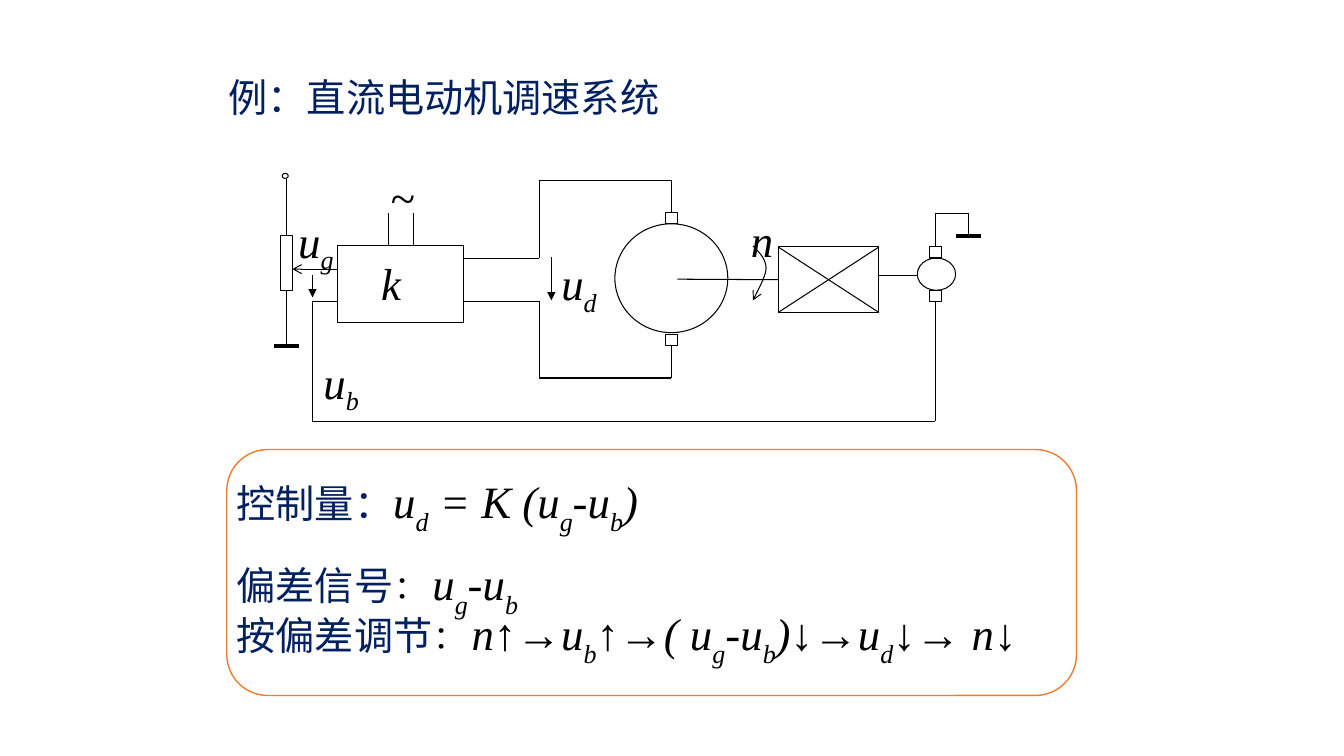
import pptx
import pptx.dml.color
import pptx.enum.shapes
import pptx.enum.text
import pptx.oxml.ns
import pptx.util
from lxml import etree

BLACK = pptx.dml.color.RGBColor(0x00, 0x00, 0x00)
WHITE = pptx.dml.color.RGBColor(0xFF, 0xFF, 0xFF)
NAVY = pptx.dml.color.RGBColor(0x00, 0x20, 0x60)
ORANGE = pptx.dml.color.RGBColor(0xED, 0x7D, 0x31)
CHINESE = "Noto Sans CJK SC"
LATIN = "Times New Roman"
COLUMNS, ROWS = 133.33, 75
CELL = pptx.util.Inches(0.1)
SHAPE = pptx.enum.shapes.MSO_SHAPE
TOP, LEFT, BOTTOM, RIGHT = range(4)

qn = pptx.oxml.ns.qn


def cells(*counts):
    """Turn grid counts into EMU lengths."""
    return [round(count * CELL) for count in counts]


def add_text(paragraph, text, size=32, font=LATIN, color=BLACK, italic=False, drop=30):
    """Add runs; the letter after each underscore is a subscript, lowered by drop percent."""
    first, *rest = text.split("_")
    pieces = [(first, False)]
    for part in rest:
        pieces += [(part[0], True), (part[1:], False)]
    for piece, subscript in pieces:
        if not piece:
            continue
        run = paragraph.add_run()
        run.text = piece
        run.font.size = pptx.util.Pt(size)
        run.font.name = font
        run.font.italic = italic
        run.font.color.rgb = color
        properties = run._r.get_or_add_rPr()
        etree.SubElement(properties, qn("a:ea")).set("typeface", font)
        if subscript:
            properties.set("baseline", str(-drop * 1000))


def add_arrowhead(item, end, kind):
    outline = item._element.spPr.find(qn("a:ln"))
    etree.SubElement(outline, qn(f"a:{end}End")).set("type", kind)


class Board:
    """Draws on one slide; all places are columns and rows of the grid."""

    thin, thick = 0.75, 3

    def __init__(self, presentation):
        self.slide = presentation.slides.add_slide(presentation.slide_layouts[6])
        self.shapes = self.slide.shapes

    def style(self, shape, fill=None, line=BLACK, width=thin):
        shape.shadow.inherit = False
        if fill is None:
            shape.fill.background()
        else:
            shape.fill.solid()
            shape.fill.fore_color.rgb = fill
        shape.line.color.rgb = line
        shape.line.width = pptx.util.Pt(width)
        return shape

    def shape(self, kind, place, **look):
        return self.style(self.shapes.add_shape(kind, *cells(*place)), **look)

    def wire(self, *points, width=thin, start=None, end=None, head=None, tail=None):
        """Join points with straight lines; start and end are (shape, side) to attach to."""
        lines = []
        for begin, finish in zip(points, points[1:]):
            line = self.shapes.add_connector(
                pptx.enum.shapes.MSO_CONNECTOR.STRAIGHT, *cells(*begin, *finish))
            line.line.color.rgb = BLACK
            line.line.width = pptx.util.Pt(width)
            etree.SubElement(line._element.spPr, qn("a:effectLst"))
            lines.append(line)
        if start:
            lines[0].begin_connect(*start)
        if end:
            lines[-1].end_connect(*end)
        if head:
            add_arrowhead(lines[0], "head", head)
        if tail:
            add_arrowhead(lines[-1], "tail", tail)

    def curve(self, start, *beziers, steps=12):
        """Draw cubic Bezier pieces, each two controls and an end, with an arrow."""
        points, origin = [], start
        for first, second, finish in beziers:
            for step in range(1, steps + 1):
                t = step / steps
                weights = (1 - t) ** 3, 3 * t * (1 - t) ** 2, 3 * t * t * (1 - t), t ** 3
                corners = origin, first, second, finish
                points.append(cells(*(sum(w * c[axis] for w, c in zip(weights, corners))
                                      for axis in (0, 1))))
            origin = finish
        builder = self.shapes.build_freeform(*cells(*start))
        builder.add_line_segments(points, close=False)
        add_arrowhead(self.style(builder.convert_to_shape()), "tail", "arrow")

    def text(self, place, *paragraphs, spacing=None, inset=0.5, justify=True):
        """Each paragraph is a list of (text, format) pairs."""
        frame = self.shapes.add_textbox(*cells(*place)).text_frame
        frame.word_wrap = True
        frame.margin_top, = cells(inset)
        for index, pieces in enumerate(paragraphs):
            paragraph = frame.add_paragraph() if index else frame.paragraphs[0]
            if justify:
                paragraph.alignment = pptx.enum.text.PP_ALIGN.JUSTIFY
            if spacing:
                paragraph.line_spacing = spacing
            for text, look in pieces:
                add_text(paragraph, text, **look)

    def label(self, place, text, italic=True):
        self.text(place, [(text, {"italic": italic, "drop": 25})], inset=1)


def draw_circuit(board):
    amplifier = board.shape(SHAPE.RECTANGLE, (33.5, 24.4, 12.5, 7.6))
    frame = amplifier.text_frame
    frame.vertical_anchor = pptx.enum.text.MSO_ANCHOR.TOP
    frame.margin_left, frame.margin_top = cells(4.3, 1)
    frame.paragraphs[0].alignment = pptx.enum.text.PP_ALIGN.LEFT
    add_text(frame.paragraphs[0], "k", italic=True)

    board.shape(SHAPE.OVAL, (61, 22.2, 11.2, 10.8))
    board.shape(SHAPE.OVAL, (91, 25.6, 3.8, 3.2))
    motor_top, motor_bottom, tacho_top, tacho_bottom = [
        board.shape(SHAPE.RECTANGLE, (left, top, 1.2, 1.1))
        for left, top in ((66, 21.1), (66, 33.2), (92.2, 24.5), (92.2, 28.8))]
    potentiometer = board.shape(SHAPE.RECTANGLE, (27.8, 23.4, 1.2, 5.4))
    load = board.shape(SHAPE.RECTANGLE, (77.2, 24.5, 10, 6.5))

    # Input side
    board.wire((28.4, 17.8), (28.4, 23.4), end=(potentiometer, TOP))
    board.wire((28.4, 28.8), (28.4, 34.4), start=(potentiometer, BOTTOM))
    board.wire((27.2, 34.3), (29.7, 34.3), width=board.thick)
    board.shape(SHAPE.OVAL, (28, 17.2, 0.6, 0.5), fill=WHITE)
    board.wire((29, 26.7), (33.5, 26.7), head="arrow")
    for supply in (38.5, 41):
        board.wire((supply, 21.1), (supply, 24.4))

    # Armature circuit
    board.wire((46, 25.6), (53.5, 25.6), (53.5, 17.9), (66.6, 17.9), (66.6, 21.1),
               end=(motor_top, TOP))
    board.wire((46, 29.9), (53.5, 29.9), (53.5, 37.5), (66.6, 37.5), (66.6, 34.3),
               end=(motor_bottom, BOTTOM))

    # Shaft, load and feedback
    board.wire((67.2, 27.7), (77.2, 27.7), end=(load, LEFT))
    board.wire((77.2, 31), (87.2, 24.5))
    board.wire((77.2, 24.5), (87.2, 31))
    board.wire((87.2, 27.3), (91, 27.3))
    board.wire((92.8, 24.5), (92.8, 21.2), (96.1, 21.2), (96.1, 23.4),
               start=(tacho_top, TOP))
    board.wire((94.8, 23.4), (97.3, 23.4), width=board.thick)
    board.wire((92.8, 29.9), (92.8, 41.8), (31, 41.8), (31, 29.9), (33.5, 29.9),
               start=(tacho_bottom, BOTTOM))

    board.wire((54.7, 25.5), (54.7, 29.8), tail="triangle")
    board.wire((31, 27.3), (31, 29.5), tail="triangle")
    board.curve((74.7, 24.4), ((75.3, 25), (76, 25.7), (76, 26.6)),
                ((76, 27.5), (74.9, 29.3), (74.7, 29.8)))

    board.label((28.6, 20.2, 10, 7.6), "u_g")
    board.label((54.7, 24.4, 6.2, 6.5), "u_d")
    board.label((73.5, 20.1, 3.8, 4.3), "n")
    board.label((31.1, 34.2, 10, 6.5), "u_b")
    board.label((37.8, 15.8, 10, 5.4), "~", italic=False)


def draw_notes(board):
    heading = {"size": 28, "font": CHINESE, "color": NAVY}
    colon = ("：", {"size": 28})
    formula, upright = {"italic": True}, {}
    board.text((22.5, 59.6, 93.3, 6.3), [
        ("按偏差调节", heading), colon, ("n", formula), ("↑→", upright),
        ("u_b", formula), ("↑→", upright), ("( u_g-u_b)", formula), ("↓→", upright),
        ("u_d", formula), ("↓→", upright), (" n", formula), ("↓", upright)])
    board.text((21.7, 6.8, 45, 5.7), [("例：直流电动机调速系统", heading)], justify=False)
    board.text((22.5, 44.6, 43.3, 14.3),
               [("控制量：", heading), ("u_d = K (u_g-u_b)", formula)],
               [("偏差信号", heading), colon, ("u_g-u_b", formula)], spacing=1.3)


def main():
    presentation = pptx.Presentation()
    presentation.slide_width, presentation.slide_height = cells(COLUMNS, ROWS)
    board = Board(presentation)
    board.shape(SHAPE.ROUNDED_RECTANGLE, (22.5, 44.6, 84.3, 24.4),
                fill=WHITE, line=ORANGE, width=1)
    draw_circuit(board)
    draw_notes(board)
    presentation.save("out.pptx")


if __name__ == "__main__":
    main()
